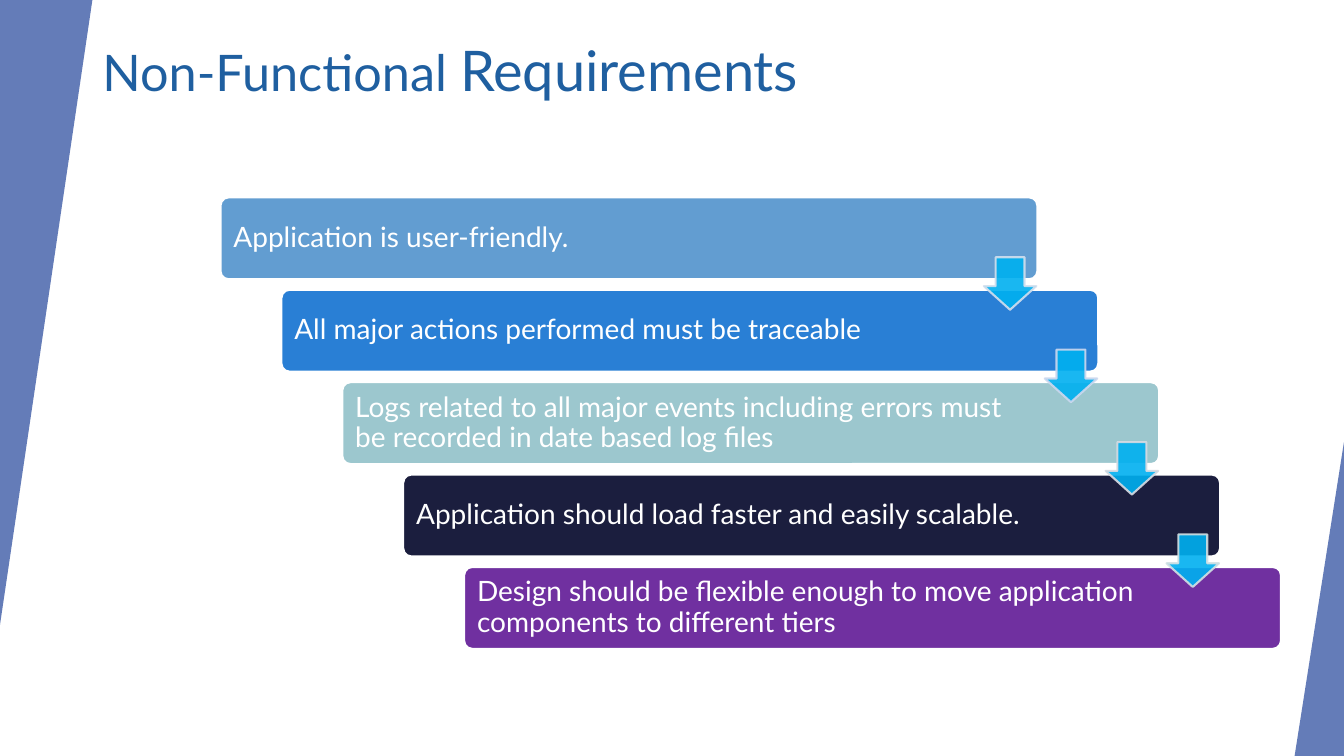
from lxml.etree import SubElement
from pptx import Presentation
from pptx.dml.color import RGBColor
from pptx.enum.shapes import MSO_SHAPE
from pptx.enum.text import MSO_ANCHOR, MSO_AUTO_SIZE, PP_ALIGN
from pptx.oxml.ns import qn
from pptx.util import Pt

PX = 9525
FONT = "Lato"
COLORS = {
    "white": "FFFFFF", "title": "1F5FA0", "wedge": "4A66AC", "arrow": "00B0F0",
    "sky": "629DD1", "blue": "297FD5", "teal": "9CC7CE", "navy": "1B1E3E",
    "purple": "7030A0", "edge1": "D3DFEE", "edge2": "CDD8EF", "edge3": "D8DBE2",
    "edge4": "D2E0E3",
}
WEDGES = [((0, 0, 88, 595), 180), ((1233, 421, 47, 299), 0)]
STEPS = [
    ("Application is user-friendly.", "sky"),
    ("All major actions performed must be traceable", "blue"),
    ("Logs related to all major events including errors must be recorded "
     "in date based log files", "teal"),
    ("Application should load faster and easily scalable.", "navy"),
    ("Design should be flexible enough to move application components "
     "to different tiers", "purple"),
]
EDGES = ["edge1", "edge2", "edge3", "edge4"]


def scale(box):
    """Turn px lengths into EMU."""
    return [n * PX for n in box]


def paint(fill, color, alpha=100):
    """Make a fill solid, with an opacity in percent."""
    fill.solid()
    fill.fore_color.rgb = RGBColor.from_string(COLORS[color])
    if alpha < 100:
        tint = fill._xPr.find(qn("a:solidFill"))[0]
        SubElement(tint, qn("a:alpha"), val=str(alpha * 1000))


def add_shape(slide, kind, box, color, alpha=100, edge=None, adjust=()):
    """Add a flat preset shape, outlined when an edge colour is given."""
    shape = slide.shapes.add_shape(kind, *scale(box))
    shape.shadow.inherit = False
    for i, value in enumerate(adjust):
        shape.adjustments[i] = value
    paint(shape.fill, color, alpha)
    if edge:
        paint(shape.line.fill, edge, alpha)
        shape.line.width = Pt(1.5)
    else:
        shape.line.fill.background()
    return shape


def add_title(slide, box):
    """Place the title, whose second part is larger."""
    title = slide.shapes.title
    title.left, title.top, title.width, title.height = scale(box)
    frame = title.text_frame
    frame.auto_size = MSO_AUTO_SIZE.NONE
    frame.vertical_anchor = MSO_ANCHOR.TOP
    par = frame.paragraphs[0]
    par.alignment = PP_ALIGN.LEFT
    par.font.name = FONT
    par.font.color.rgb = RGBColor.from_string(COLORS["title"])
    for text, size in (("Non-Functional ", 36), ("Requirements", 40)):
        run = par.add_run()
        run.text = text
        run.font.size = Pt(size)


def add_bar(slide, box, text, color, right):
    """Add one step with its text kept clear of the arrows."""
    bar = add_shape(slide, MSO_SHAPE.ROUNDED_RECTANGLE, box, color,
                    edge="white", adjust=[0.1])
    frame = bar.text_frame
    frame.word_wrap = True
    frame.vertical_anchor = MSO_ANCHOR.MIDDLE
    frame.margin_left, frame.margin_right = scale((10, right))
    frame.margin_top = frame.margin_bottom = 8 * PX
    par = frame.paragraphs[0]
    par.text = text
    par.alignment = PP_ALIGN.LEFT
    par.line_spacing = 0.9
    par.font.name = FONT
    par.font.size = Pt(20)
    par.font.color.rgb = RGBColor.from_string(COLORS["white"])


def add_stairs(slide, box):
    """Lay the steps corner to corner in the box, then link them with arrows."""
    left, top, width, height = box
    wide, high, side = 778, 78, 50
    gaps = len(STEPS) - 1
    spots = [(left + i * (width - wide) // gaps, top + i * (height - high) // gaps)
             for i in range(len(STEPS))]
    for i, ((x, y), (text, color)) in enumerate(zip(spots, STEPS)):
        add_bar(slide, (x, y, wide, high), text, color, 120 if i else 99)
    for (x, y), edge in zip(spots, EDGES):
        add_shape(slide, MSO_SHAPE.DOWN_ARROW, (x + wide - side - 1, y + 57, side, side),
                  "arrow", 90, edge, [0.55, 0.45])


def main():
    """Build the slide and save it."""
    deck = Presentation()
    deck.slide_width, deck.slide_height = scale((1280, 720))
    slide = deck.slides.add_slide(deck.slide_layouts[5])
    add_title(slide, (88, 29, 1070, 115))
    for box, turn in WEDGES:
        wedge = add_shape(slide, MSO_SHAPE.ISOSCELES_TRIANGLE, box, "wedge", 85,
                          adjust=[1])
        wedge.rotation = turn
    add_stairs(slide, (210, 188, 1010, 430))
    deck.save("out.pptx")


if __name__ == "__main__":
    main()
